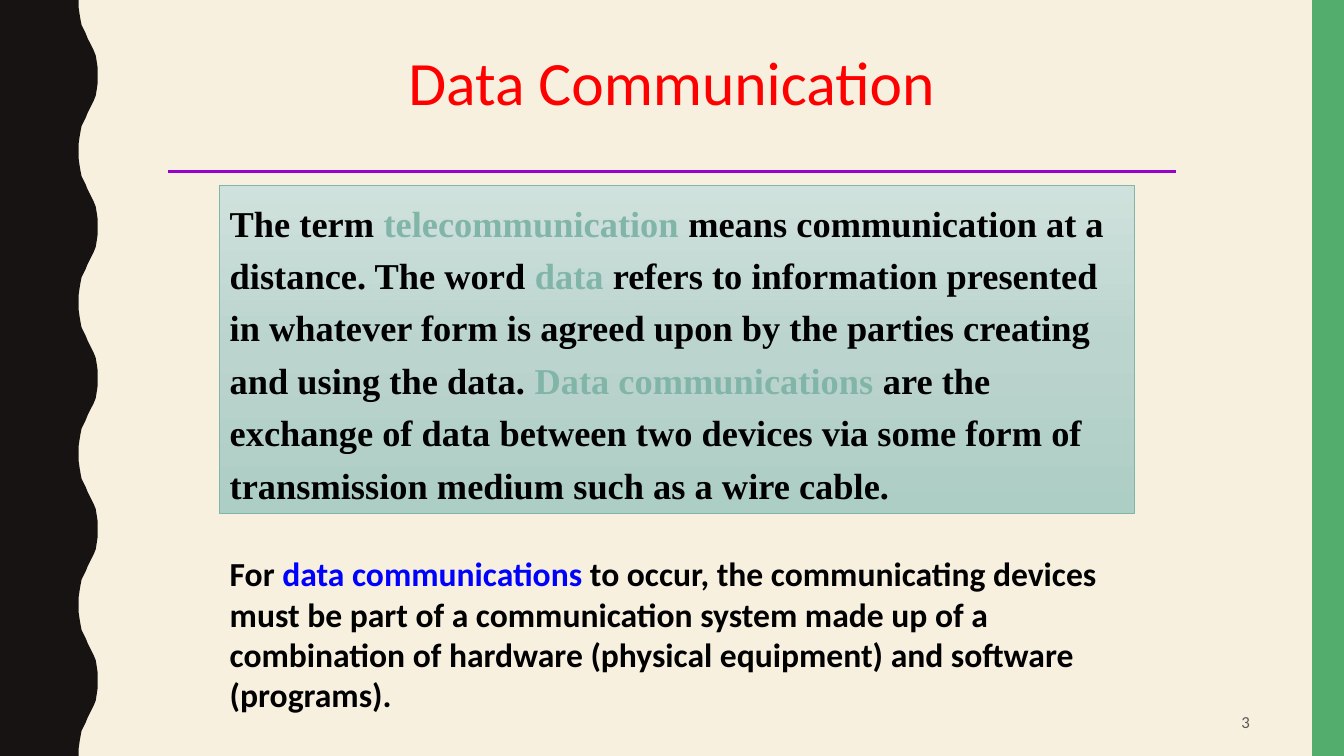
from copy import deepcopy
from dataclasses import dataclass

from lxml import etree
from pptx import Presentation
from pptx import util as u
from pptx.dml.color import RGBColor
from pptx.enum import shapes, text
from pptx.oxml.ns import qn

WIDTH, HEIGHT = 33.87, 19.05
ACCENT = "81B5A8"
BLACK = "000000"


@dataclass
class TextBlock:
    """A block of text: place in centimetres, (text, colour) runs and format."""
    place: tuple[float, float, float, float]
    runs: list[tuple[str, str]]
    size: int
    font: str = "Calibri"
    bold: bool = False
    align: text.PP_ALIGN = text.PP_ALIGN.LEFT
    anchor: text.MSO_ANCHOR = text.MSO_ANCHOR.TOP
    spacing: float = 1.0
    fit: text.MSO_AUTO_SIZE = text.MSO_AUTO_SIZE.SHAPE_TO_FIT_TEXT


TITLE = TextBlock((4.23, 0.99, 25.4, 2.13), [("Data Communication", "FF0000")],
                  size=44, align=text.PP_ALIGN.CENTER)
DEFINITION = TextBlock(
    (5.54, 4.67, 23.04, 8.26),
    [("The term ", BLACK),
     ("telecommunication", ACCENT),
     (" means communication at a distance. The word ", BLACK),
     ("data", ACCENT),
     (" refers to information presented in whatever form is agreed upon "
      "by the parties creating and using the data. ", BLACK),
     ("Data communications", ACCENT),
     (" are the exchange of data between two devices via some form of "
      "transmission medium such as a wire cable.", BLACK)],
    size=26, font="Times New Roman", bold=True,
    anchor=text.MSO_ANCHOR.MIDDLE, spacing=1.2)
REQUIREMENT = TextBlock(
    (5.54, 13.82, 23.14, 4.37),
    [("For ", BLACK),
     ("data communications ", "0000FF"),
     ("to occur, the communicating devices must be part of a communication "
      "system made up of a combination of hardware (physical equipment) and "
      "software (programs).", BLACK)],
    size=24, bold=True)
PAGE_NUMBER = TextBlock((23.93, 17.7, 7.82, 0.97), [("3", "595959")], size=12,
                        align=text.PP_ALIGN.RIGHT, anchor=text.MSO_ANCHOR.MIDDLE,
                        fit=text.MSO_AUTO_SIZE.NONE)

# Rising half of one wave, in hundredths of an inch
WAVE_RISE = [(78, 0), (78, 7), (79, 14), (80, 20), (81, 25), (83, 29), (85, 33),
             (87, 38), (89, 42), (91, 46), (93, 50), (95, 55), (96, 61), (97, 68),
             (97, 75)]
WAVE_LENGTH, WAVE_COUNT = 150, 5


def colour(value: str) -> RGBColor:
    return RGBColor.from_string(value)


def lengths(place: tuple) -> list:
    return [u.Cm(value) for value in place]


def paint(shape, value: str) -> None:
    """Give a shape a plain fill without outline or shadow."""
    shape.shadow.inherit = False
    shape.fill.solid()
    shape.fill.fore_color.rgb = colour(value)
    shape.line.fill.background()


def add_run(paragraph, content: str, *, size: int, font: str, bold: bool,
            value: str) -> None:
    run = paragraph.add_run()
    run.text = content
    run.font.size = u.Pt(size)
    run.font.name = font
    run.font.bold = bold
    run.font.color.rgb = colour(value)


def write(shape, block: TextBlock) -> None:
    frame = shape.text_frame
    frame.word_wrap = True
    frame.auto_size = block.fit
    frame.vertical_anchor = block.anchor
    paragraph = frame.paragraphs[0]
    paragraph.alignment = block.align
    paragraph.line_spacing = block.spacing
    for content, value in block.runs:
        add_run(paragraph, content, size=block.size, font=block.font,
                bold=block.bold, value=value)


def add_wave(slide) -> None:
    fall = [(x, WAVE_LENGTH - y) for x, y in reversed(WAVE_RISE[:-1])]
    edge = [(x, y + number * WAVE_LENGTH)
            for number in range(WAVE_COUNT) for x, y in WAVE_RISE + fall]
    builder = slide.shapes.build_freeform(0, 0, scale=u.Cm(0.0254))
    builder.add_line_segments(edge + [(0, WAVE_LENGTH * WAVE_COUNT)], close=True)
    paint(builder.convert_to_shape(), "171312")


def add_definition(slide) -> None:
    shape = slide.shapes.add_shape(shapes.MSO_SHAPE.RECTANGLE,
                                   *lengths(DEFINITION.place))
    shape.shadow.inherit = False
    shape.line.color.rgb = colour(ACCENT)
    shape.line.width = u.Pt(0.5)
    shape.fill.gradient()
    shape.fill.gradient_angle = 270
    # Third gradient stop in the middle
    stop_list = shape._element.spPr.find(".//" + qn("a:gsLst"))
    stop_list.insert(1, deepcopy(stop_list[0]))
    values = ("CFE1DC", "BBD4CD", "ADCEC5")
    for stop, position, value in zip(shape.fill.gradient_stops, (0, 0.5, 1), values):
        stop.position = position
        stop.color.rgb = colour(value)
    write(shape, DEFINITION)


def add_rule(slide) -> None:
    rule = slide.shapes.add_connector(shapes.MSO_CONNECTOR.STRAIGHT,
                                      *lengths((4.23, 4.32, 29.63, 4.32)))
    rule.line.color.rgb = colour("9900CC")
    rule.line.width = u.Pt(2.25)
    etree.SubElement(rule._element.spPr, qn("a:effectLst"))


def main() -> None:
    presentation = Presentation()
    presentation.slide_width, presentation.slide_height = lengths((WIDTH, HEIGHT))
    slide = presentation.slides.add_slide(presentation.slide_layouts[6])

    # Background and side decorations
    slide.background.fill.solid()
    slide.background.fill.fore_color.rgb = colour("F7F0DF")
    add_wave(slide)
    band = slide.shapes.add_shape(shapes.MSO_SHAPE.RECTANGLE,
                                  *lengths((33.07, 0, 0.8, HEIGHT)))
    paint(band, "53AE6E")

    # Content
    add_definition(slide)
    for block in (TITLE, REQUIREMENT, PAGE_NUMBER):
        write(slide.shapes.add_textbox(*lengths(block.place)), block)
    add_rule(slide)

    presentation.save("out.pptx")


if __name__ == "__main__":
    main()
